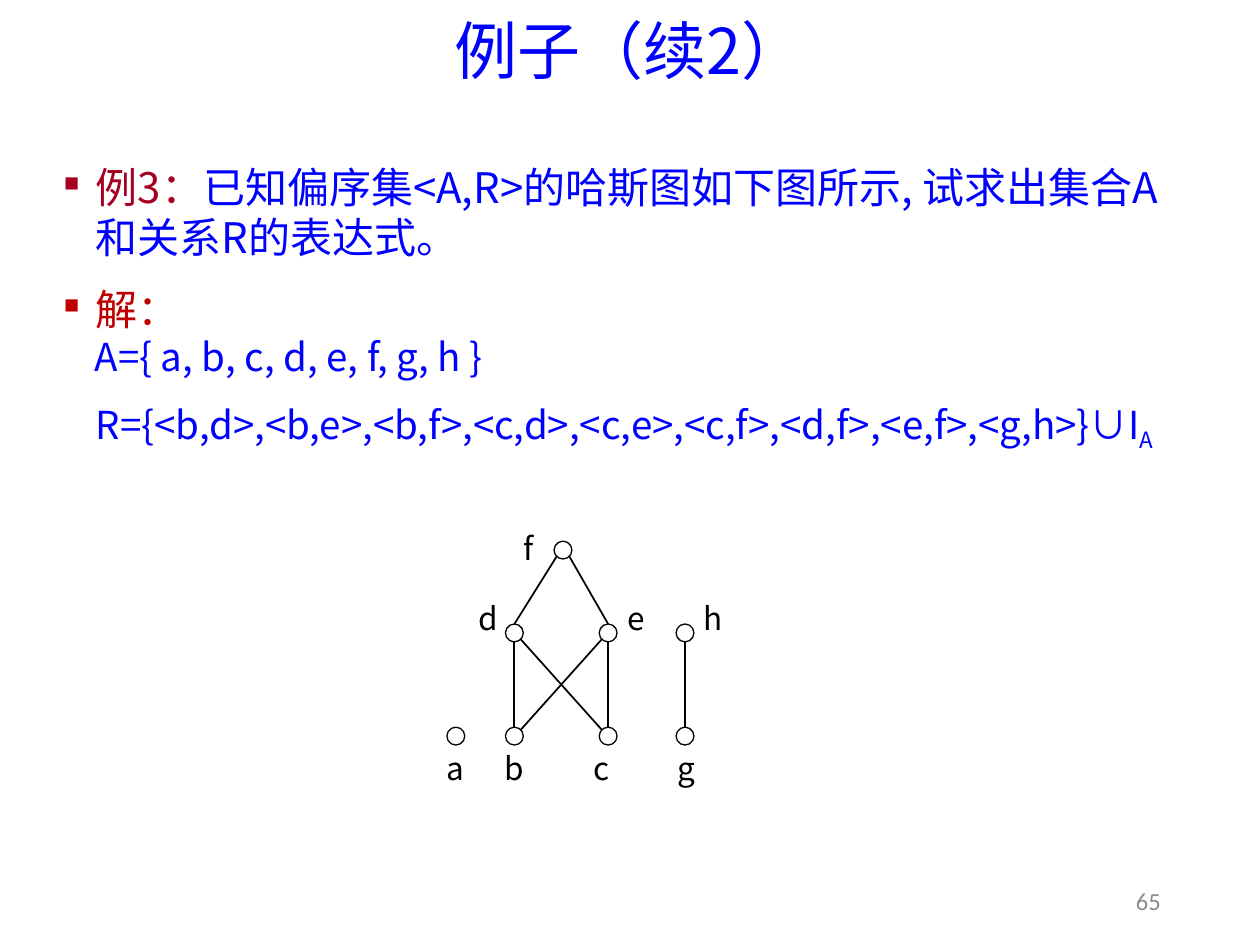
from collections import namedtuple
from dataclasses import dataclass
from math import hypot

from lxml import etree
from pptx import Presentation
from pptx.dml.color import RGBColor
from pptx.enum.shapes import MSO_CONNECTOR, MSO_SHAPE
from pptx.enum.text import MSO_ANCHOR, PP_ALIGN
from pptx.oxml.ns import qn
from pptx.util import Cm, Pt

STRAIGHT = MSO_CONNECTOR.STRAIGHT
CIRCLE = MSO_SHAPE.FLOWCHART_CONNECTOR
MIDDLE, TOP = MSO_ANCHOR.MIDDLE, MSO_ANCHOR.TOP
LEFT, CENTER, RIGHT = PP_ALIGN.LEFT, PP_ALIGN.CENTER, PP_ALIGN.RIGHT

Box = namedtuple("Box", "left top width height")
Style = namedtuple("Style", "size color font")


@dataclass(frozen=True)
class Theme:
    title = Style(36, "0000FF", "Noto Sans CJK JP")
    example = Style(24, "A50021", "Noto Sans CJK SC")
    question = Style(24, "0000FF", "Noto Sans CJK SC")
    answer = Style(24, "C00000", "Noto Sans CJK SC")
    formula = Style(22, "0000FF", "Noto Sans CJK SC")
    label = Style(18, "000000", "Noto Sans CJK SC")
    number = Style(14, "8C8C8C", "Calibri")
    ink = RGBColor.from_string("000000")
    paper = RGBColor.from_string("FFFFFF")
    edge_width = Pt(1)
    node_width = Pt(0.75)


THEME = Theme()

RADIUS = 0.18
LOW, MID, HIGH = 4.14, 2.06, 0.39
NODES = {
    "a": (0.59, LOW), "b": (1.77, LOW), "c": (3.66, LOW), "g": (5.21, LOW),
    "d": (1.77, MID), "e": (3.66, MID), "h": (5.21, MID), "f": (2.75, HIGH),
}
LABEL_SHIFTS = {
    "a": (0, 0.64), "b": (0, 0.64), "c": (-0.13, 0.64), "g": (0.03, 0.64),
    "d": (-0.52, -0.3), "e": (0.57, -0.3), "h": (0.57, -0.3), "f": (-0.69, -0.05),
}
UP, DOWN = (0, -1), (0, 1)
UP_LEFT, UP_RIGHT, DOWN_LEFT, DOWN_RIGHT = (-1, -1), (1, -1), (-1, 1), (1, 1)
EDGES = [
    ("f", DOWN_LEFT, "d", UP), ("f", DOWN_RIGHT, "e", UP),
    ("d", DOWN, "b", UP), ("d", DOWN_RIGHT, "c", UP_LEFT),
    ("e", DOWN_LEFT, "b", UP_RIGHT), ("e", DOWN, "c", UP),
    ("h", DOWN, "g", UP),
]


def add_span(para, text, style):
    span = para.add_run()
    span.text = text
    span.font.size = Pt(style.size)
    span.font.name = style.font
    span.font.color.rgb = RGBColor.from_string(style.color)
    properties = span.font._element
    etree.SubElement(properties, qn("a:ea")).set("typeface", style.font)
    return span


def add_text_box(page, box, anchor, inset=(0, 0)):
    frame = page.shapes.add_textbox(*map(Cm, box)).text_frame
    frame.word_wrap = True
    frame.vertical_anchor = anchor
    frame.margin_left = frame.margin_right = Cm(inset[0])
    frame.margin_top = frame.margin_bottom = Cm(inset[1])
    return frame


def add_line_of_text(page, box, text, style, align):
    para = add_text_box(page, box, MIDDLE).paragraphs[0]
    para.alignment = align
    add_span(para, text, style)


def set_indent(para, margin, first, bullet=None):
    properties = para._p.get_or_add_pPr()
    properties.set("marL", str(Cm(margin)))
    properties.set("indent", str(Cm(first)))
    if bullet:
        etree.SubElement(properties, qn("a:buSzPct")).set("val", "50000")
        etree.SubElement(properties, qn("a:buChar")).set("char", bullet)
    else:
        etree.SubElement(properties, qn("a:buNone"))


def fill_title(page, box):
    title = page.shapes.title
    title.left, title.top, title.width, title.height = map(Cm, box)
    title.text_frame.vertical_anchor = MIDDLE
    para = title.text_frame.paragraphs[0]
    para.alignment = CENTER
    para.line_spacing = 0.9
    add_span(para, "例子（续2）", THEME.title)


def add_body(page, box):
    frame = add_text_box(page, box, TOP, (0.25, 0.13))
    rows = [
        (0.64, -0.64, "■", 0, 6, [
            ("例3：", THEME.example),
            ("已知偏序集<A,R>的哈斯图如下图所示, 试求出集合A和关系R的表达式。", THEME.question)]),
        (0.64, -0.64, "■", 6, 0, [("解：", THEME.answer)]),
        (0.62, 0, None, 0, 6, [("A={ a, b, c, d, e, f, g, h }", THEME.formula)]),
        (1.25, -0.61, None, 6, 6, [
            ("R={<b,d>,<b,e>,<b,f>,<c,d>,<c,e>,<c,f>,<d,f>,<e,f>,<g,h>}∪I", THEME.formula),
            ("A", THEME.formula)]),
    ]
    for index, (margin, first, bullet, before, after, pieces) in enumerate(rows):
        para = frame.add_paragraph() if index else frame.paragraphs[0]
        set_indent(para, margin, first, bullet)
        para.alignment = LEFT
        para.line_spacing = 1.0
        para.space_before, para.space_after = Pt(before), Pt(after)
        for text, style in pieces:
            span = add_span(para, text, style)
    span.font._element.set("baseline", "-25000")


def rim_point(box, name, side):
    x, y = NODES[name]
    scale = RADIUS / hypot(*side)
    return Cm(box.left + x + side[0] * scale), Cm(box.top + y + side[1] * scale)


def add_hasse_diagram(page, box):
    for upper, upper_side, lower, lower_side in EDGES:
        edge = page.shapes.add_connector(
            STRAIGHT, *rim_point(box, upper, upper_side), *rim_point(box, lower, lower_side))
        edge.line.color.rgb = THEME.ink
        edge.line.width = THEME.edge_width
        etree.SubElement(edge._element.spPr, qn("a:effectLst"))
    for name, (x, y) in NODES.items():
        center_x, center_y = box.left + x, box.top + y
        node = page.shapes.add_shape(
            CIRCLE, Cm(center_x - RADIUS), Cm(center_y - RADIUS), Cm(2 * RADIUS), Cm(2 * RADIUS))
        node.shadow.inherit = False
        node.fill.solid()
        node.fill.fore_color.rgb = THEME.paper
        node.line.color.rgb = THEME.ink
        node.line.width = THEME.node_width
        shift_x, shift_y = LABEL_SHIFTS[name]
        label_box = Box(center_x + shift_x - 0.4, center_y + shift_y - 0.3, 0.8, 0.6)
        add_line_of_text(page, label_box, name, THEME.label, CENTER)


def add_page_number(page, box):
    add_line_of_text(page, box, "65", THEME.number, RIGHT)


def main():
    deck = Presentation()
    deck.slide_width, deck.slide_height = Cm(25.4), Cm(19.05)
    page = deck.slides.add_slide(deck.slide_layouts[5])
    fill_title(page, Box(1.75, 0.36, 21.9, 1.45))
    add_body(page, Box(1.04, 3.12, 23.32, 7.95))
    add_hasse_diagram(page, Box(8.6, 10.7, 6.2, 5.3))
    add_page_number(page, Box(21.7, 17.65, 1.7, 1.02))
    deck.save("out.pptx")


if __name__ == "__main__":
    main()
